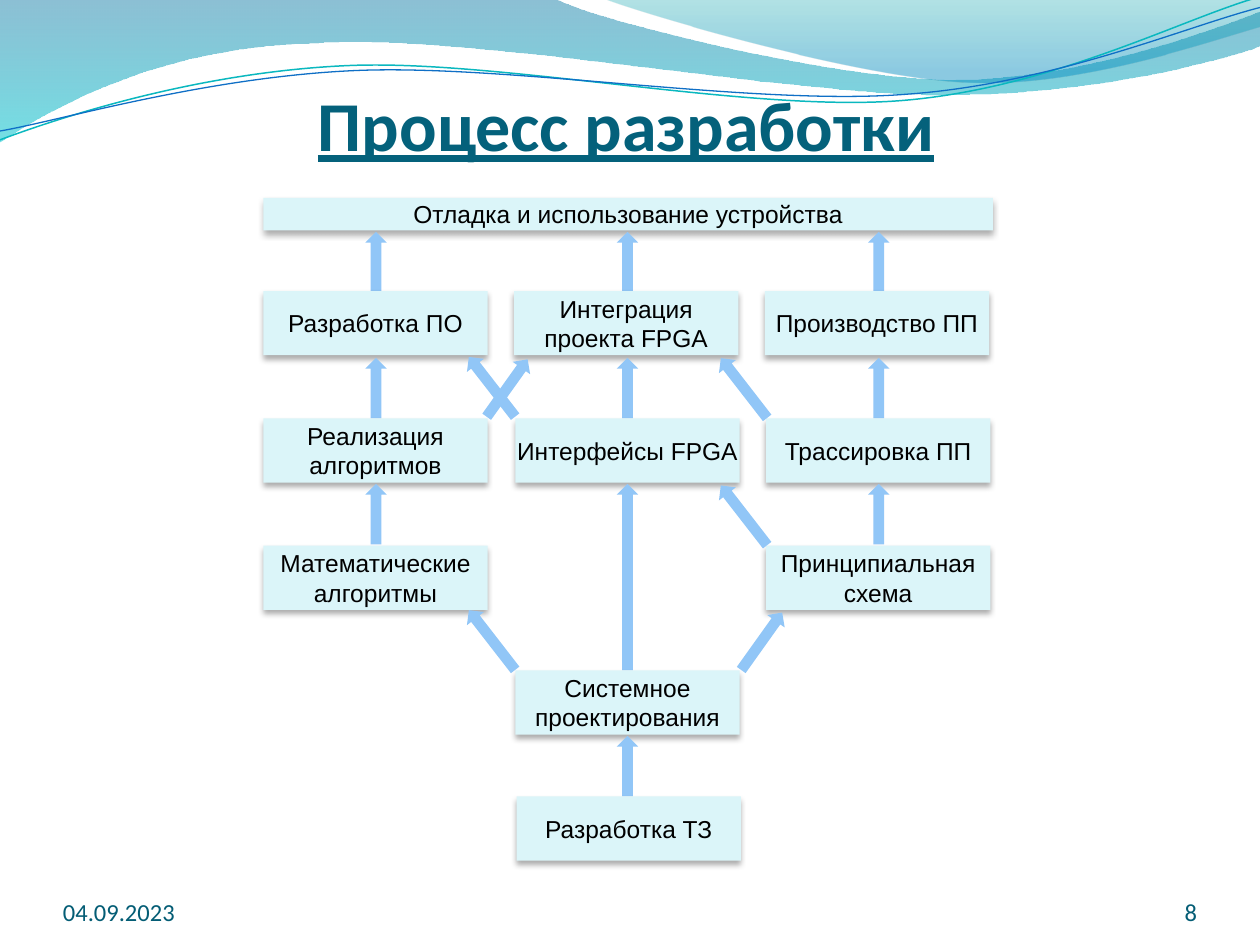
import math
import pptx
import pptx.dml.color
import pptx.enum.shapes
import pptx.enum.text
import pptx.util
import lxml.etree

Inches = pptx.util.Inches
Shape = pptx.enum.shapes.MSO_SHAPE
Align = pptx.enum.text.PP_ALIGN
Anchor = pptx.enum.text.MSO_ANCHOR
color = pptx.dml.color.RGBColor.from_string
qn = pptx.oxml.ns.qn

theme = {
    "box": "DBF5F9", "arrow": "91C6F7", "ink": "000000", "shade": "000000",
    "title": "04617B", "foot": "045D75",
    "teal": "0AB8BF", "blue": "0F6FC6",
    "wide": [("0074A1", 45), ("00C6CF", 55)],
    "crest": [("00A1A9", 30), ("008BBF", 45)],
    "big": 40, "small": 14, "head": "Calibri", "body": "Arial",
}

deck = pptx.Presentation()
deck.slide_width, deck.slide_height = Inches(10), Inches(7.5)
slide = deck.slides.add_slide(deck.slide_layouts[6])
shapes = slide.shapes


def write(shape, text, align, anchor, size, face, ink, inset=0):
    frame = shape.text_frame
    frame.text = text
    frame.word_wrap = True
    frame.vertical_anchor = anchor
    frame.margin_left = frame.margin_right = Inches(inset * 2)
    frame.margin_top = frame.margin_bottom = Inches(inset)
    line = frame.paragraphs[0]
    line.alignment = align
    font = line.runs[0].font
    font.size = pptx.util.Pt(theme[size])
    font.name = theme[face]
    font.color.rgb = color(theme[ink])
    return font


def trace(group, start, steps, closed):
    dots = [start]
    for step in steps:
        dots += zip(step[::2], step[1::2])
    dots = [(Inches(x), Inches(y)) for x, y in dots]
    pen = group.build_freeform(*dots[0])
    pen.add_line_segments(dots[1:], close=closed)
    shape = pen.convert_to_shape()
    shape.shadow.inherit = False
    lines = iter(list(shape.element.iter(qn("a:lnTo"))))
    for step in steps:
        node = next(lines)
        if len(step) == 6:
            node.tag = qn("a:cubicBezTo")
            for more in (next(lines), next(lines)):
                node.append(more[0])
                more.getparent().remove(more)
    return shape


waves = [
    ("wide", 1, (-0.01, 0), [
        (4.4, -0.01), (4.76, 0.17, 6.64, 0.63, 7.58, 0.63),
        (8.53, 0.63, 9.58, 0.26, 10, 0.09), (10.01, 0.36),
        (9.83, 0.44, 8.7, 0.76, 7.46, 0.75),
        (6.22, 0.75, 3.82, 0.28, 2.57, 0.34),
        (1.29, 0.36, 0.46, 0.83, -0.01, 1.13)]),
    ("crest", 0.8, (4.79, -0.01), [
        (5.09, 0.11, 6.82, 0.62, 7.69, 0.65),
        (8.56, 0.69, 9.61, 0.32, 10, 0.21), (10, 0)]),
]
for name, end, start, steps in waves:
    wave = trace(shapes, start, steps, True)
    wave.line.fill.background()
    wave.fill.gradient()
    wave.fill.gradient_angle = 270
    for stop, spot, (tint, alpha) in zip(wave.fill.gradient_stops, (0, end), theme[name]):
        stop.position = spot
        stop.color.rgb = color(tint)
    for node, (tint, alpha) in zip(wave.element.iter(qn("a:srgbClr")), theme[name]):
        lxml.etree.SubElement(node, qn("a:alpha"), val=str(alpha * 1000))

curves = [
    ("teal", 0.85, (4.99, 0.58), (0, 1.11), [
        (0.48, 0.93, 1.58, 0.57, 2.77, 0.52),
        (3.95, 0.47, 5.93, 0.89, 7.13, 0.8),
        (8.33, 0.71, 9.38, 0.15, 9.98, -0.02)]),
    ("blue", 0.75, (5, 0.59), (0, 1.04), [
        (0.47, 0.96, 1.64, 0.61, 2.83, 0.56),
        (4.03, 0.51, 5.97, 0.84, 7.17, 0.75),
        (8.36, 0.67, 9.41, 0.21, 10, 0.06)]),
]
tilt = 2.7
cos, sin = math.cos(math.radians(tilt)), math.sin(math.radians(tilt))
lines = shapes.add_group_shape()
for name, width, (mx, my), start, steps in curves:
    level = []
    for step in [start] + steps:
        flat = []
        for x, y in zip(step[::2], step[1::2]):
            flat += [mx + (x - mx) * cos - (y - my) * sin,
                     my + (x - mx) * sin + (y - my) * cos]
        level.append(tuple(flat))
    curve = trace(lines.shapes, level[0], level[1:], False)
    curve.rotation = 360 - tilt
    curve.fill.background()
    curve.line.color.rgb = color(theme[name])
    curve.line.width = pptx.util.Pt(width)

for text, left, width, align in [("04.09.2023", 0.5, 2.33, Align.LEFT),
                                 ("8", 8.67, 0.83, Align.RIGHT)]:
    foot = shapes.add_textbox(Inches(left), Inches(6.95), Inches(width), Inches(0.4))
    write(foot, text, align, Anchor.BOTTOM, "small", "head", "foot")

title = shapes.add_textbox(Inches(-0.03), Inches(0.6), Inches(10), Inches(0.77))
font = write(title, "Процесс разработки", Align.CENTER, Anchor.TOP, "big", "head", "title", 0.05)
font.bold = font.underline = True

rows = [
    (1.84, [(1, 0.48), (2, 0.48), (0, 0.48)], [
        ("Разработка ПО", 2.09, 2.31), ("Интеграция проекта FPGA", 4.08, 2.31),
        ("Производство ПП", 6.07, 2.31)]),
    (2.84, [(1, 0.48), (2, 0.48), (0, 0.48)], [
        ("Реализация алгоритмов", 2.09, 3.32), ("Интерфейсы FPGA", 4.09, 3.32),
        ("Трассировка ПП", 6.08, 3.32)]),
    (3.84, [(1, 1.48), (2, 0.48), (0, 0.48)], [
        ("Математические алгоритмы", 2.09, 4.33), ("Системное проектирования", 4.09, 5.32),
        ("Принципиальная схема", 6.08, 4.33)]),
    (5.84, [(1, 0.48)], [("Разработка ТЗ", 4.1, 6.32)]),
]
parts = [("Отладка и использование устройства", 2.09, 1.57, 5.79, 0.26, 0)]
for top, ups, cells in rows:
    parts += [("", 2.9 + 1.995 * col, top, 0.17, high, 0) for col, high in ups]
    parts += [(text, x, y, 1.78, 0.51, 0) for text, x, y in cells]
parts += [("", x, y, 0.17, high, turn) for x, y, high, turn in [
    (5.96, 4.81, 0.56, 35.5), (3.82, 4.78, 0.6, 322.2),
    (3.94, 2.8, 0.56, 35.5), (3.82, 2.77, 0.6, 322.2),
    (5.82, 2.78, 0.6, 322.2), (5.82, 3.79, 0.6, 322.2)]]

chart = shapes.add_group_shape()
for text, *place, turn in parts:
    kind = Shape.RECTANGLE if text else Shape.UP_ARROW
    part = chart.shapes.add_shape(kind, *map(Inches, place))
    part.rotation = turn
    part.fill.solid()
    part.fill.fore_color.rgb = color(theme["box" if text else "arrow"])
    part.line.fill.background()
    part.shadow.inherit = False
    if text:
        glow = part.element.spPr.find(qn("a:effectLst"))
        shade = lxml.etree.SubElement(glow, qn("a:outerShdw"), blurRad="44450",
                                      dist="27940", dir="5400000", rotWithShape="0")
        tint = lxml.etree.SubElement(shade, qn("a:srgbClr"), val=theme["shade"])
        lxml.etree.SubElement(tint, qn("a:alpha"), val="32000")
        write(part, text, Align.CENTER, Anchor.MIDDLE, "small", "body", "ink")

deck.save("out.pptx")
